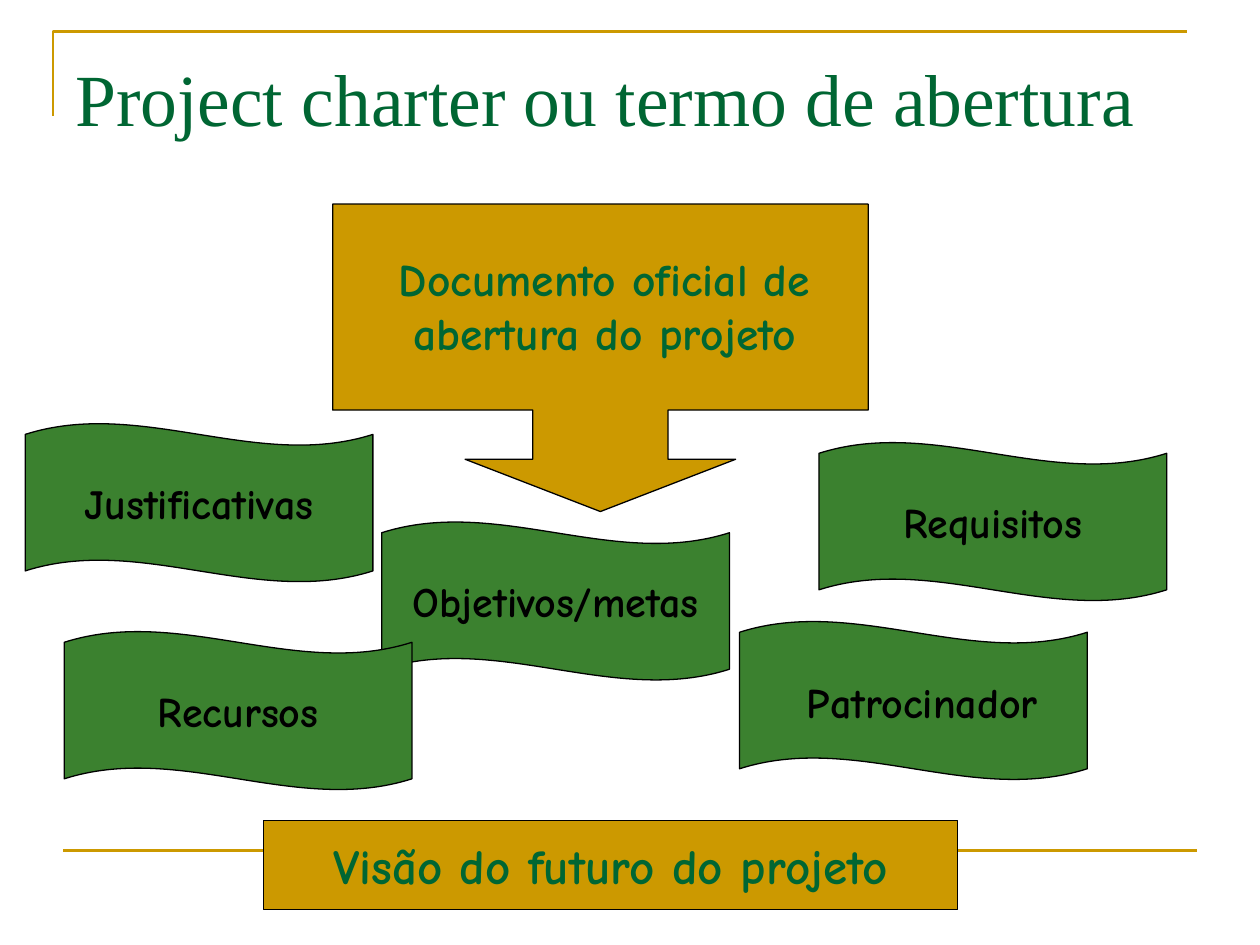
from dataclasses import dataclass

from lxml import etree
from pptx import Presentation
from pptx import util as u
from pptx.dml.color import RGBColor
from pptx.enum import shapes, text
from pptx.oxml import ns

GOLD = RGBColor(0xCC, 0x99, 0x00)
DARK_GREEN = RGBColor(0x00, 0x66, 0x33)
GREEN = RGBColor(0x3B, 0x81, 0x2F)
BLACK = RGBColor(0x00, 0x00, 0x00)
TITLE_FONT = "Times New Roman"
BODY_FONT = "Comic Neue"
WAVE_WIDTH, WAVE_HEIGHT, WAVE_DEPTH = 2.76, 1.26, 0.07


@dataclass(frozen=True)
class Area:
    left: float
    top: float
    width: float
    height: float

    def lengths(self) -> tuple:
        return tuple(u.Inches(v) for v in (self.left, self.top, self.width, self.height))


@dataclass(frozen=True)
class TextStyle:
    size: int
    color: RGBColor
    font: str = BODY_FONT
    bold: bool = True
    align: text.PP_ALIGN = text.PP_ALIGN.CENTER


@dataclass(frozen=True)
class Wave:
    left: float
    top: float
    label: str = ""


TITLE = TextStyle(42, DARK_GREEN, TITLE_FONT, False, text.PP_ALIGN.LEFT)
DOCUMENT = TextStyle(26, DARK_GREEN)
VISION = TextStyle(28, DARK_GREEN)
TOPIC = TextStyle(24, BLACK)

WAVES = [
    Wave(5.87, 4.93),
    Wave(3.03, 4.14, "Objetivos/metas"),
    Wave(0.2, 3.36, "Justificativas"),
    Wave(6.5, 3.51, "Requisitos"),
    Wave(0.51, 5.01, "Recursos"),
]


def write(box, wording: str, style: TextStyle, wrap: bool) -> None:
    frame = box.text_frame
    frame.word_wrap = wrap
    para = frame.paragraphs[0]
    para.alignment = style.align
    span = para.add_run()
    span.text = wording
    span.font.name = style.font
    span.font.size = u.Pt(style.size)
    span.font.bold = style.bold
    span.font.color.rgb = style.color


def add_text(page, area: Area, wording: str, style: TextStyle):
    box = page.shapes.add_textbox(*area.lengths())
    write(box, wording, style, True)
    return box


def add_filled(page, kind: shapes.MSO_SHAPE, area: Area, fill: RGBColor):
    shape = page.shapes.add_shape(kind, *area.lengths())
    shape.shadow.inherit = False
    shape.fill.solid()
    shape.fill.fore_color.rgb = fill
    shape.line.color.rgb = BLACK
    shape.line.width = u.Pt(0.75)
    shape.text_frame.vertical_anchor = text.MSO_ANCHOR.MIDDLE
    return shape


def add_wave(page, wave: Wave) -> None:
    area = Area(wave.left, wave.top, WAVE_WIDTH, WAVE_HEIGHT)
    shape = add_filled(page, shapes.MSO_SHAPE.WAVE, area, GREEN)
    shape.adjustments[0] = WAVE_DEPTH
    if wave.label:
        write(shape, wave.label, TOPIC, False)


def style_rule(line) -> None:
    line.color.rgb = GOLD
    line.width = u.Pt(1.5)


def add_frame_lines(page) -> None:
    builder = page.shapes.build_freeform(u.Inches(0.42), u.Inches(0.92))
    corners = [(u.Inches(0.42), u.Inches(0.25)), (u.Inches(9.42), u.Inches(0.25))]
    builder.add_line_segments(corners, close=False)
    corner = builder.convert_to_shape()
    corner.shadow.inherit = False
    corner.fill.background()
    style_rule(corner.line)

    rule = page.shapes.add_connector(
        shapes.MSO_CONNECTOR.STRAIGHT,
        u.Inches(0.5), u.Inches(6.75), u.Inches(9.5), u.Inches(6.75),
    )
    style_rule(rule.line)
    etree.SubElement(rule._element.spPr, ns.qn("a:effectLst"))


def main() -> None:
    deck = Presentation()
    deck.slide_width, deck.slide_height = u.Inches(10), u.Inches(7.5)
    page = deck.slides.add_slide(deck.slide_layouts[6])

    add_frame_lines(page)
    title = add_text(page, Area(0.5, 0.3, 9, 1.25), "Project charter ou termo de abertura", TITLE)
    title.text_frame.margin_top = u.Inches(0.12)

    callout = add_filled(
        page, shapes.MSO_SHAPE.DOWN_ARROW_CALLOUT, Area(2.64, 1.62, 4.25, 2.44), GOLD
    )
    for index, value in enumerate((0.44, 0.44, 0.17, 0.67)):
        callout.adjustments[index] = value
    add_text(
        page, Area(2.87, 1.94, 3.86, 0.97), "Documento oficial de abertura do projeto", DOCUMENT
    )

    sponsor, *topics = WAVES
    add_wave(page, sponsor)
    add_text(page, Area(6.18, 5.32, 2.28, 0.5), "Patrocinador", TOPIC)
    for topic in topics:
        add_wave(page, topic)

    vision = add_filled(page, shapes.MSO_SHAPE.RECTANGLE, Area(2.09, 6.51, 5.51, 0.71), GOLD)
    write(vision, "Visão do futuro do projeto", VISION, False)
    deck.save("out.pptx")


if __name__ == "__main__":
    main()
